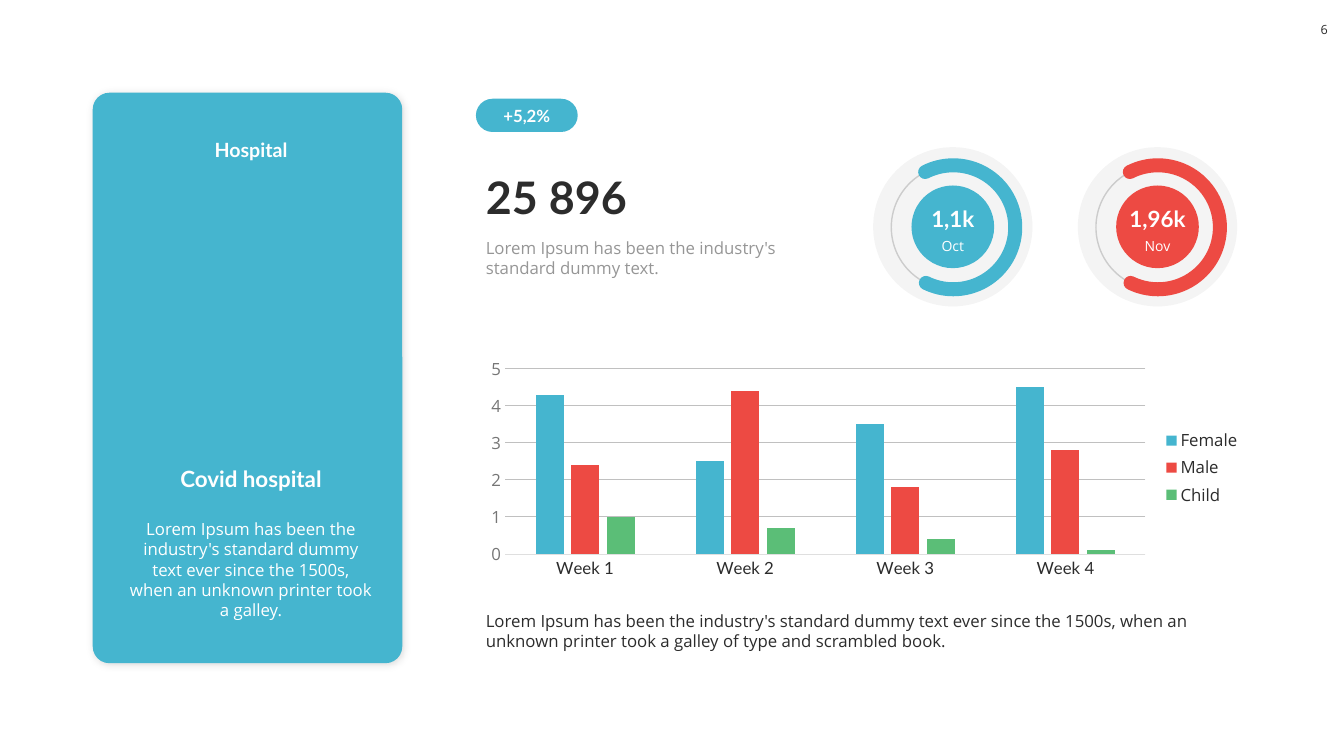
"""Build the hospital statistics slide with a side panel, monthly rings and a weekly chart."""
import lxml.etree
import pptx
import pptx.chart.data
import pptx.dml.color
import pptx.enum.chart
import pptx.enum.shapes
import pptx.enum.text
import pptx.oxml.ns
import pptx.util

PX = 9144
TEAL, RED, GREEN = "45B5CF", "ED4A43", "5BBE77"
DARK, GREY, WHITE = "2C2C2C", "969696", "FFFFFF"
HEADING, BODY = "Lato", "Open Sans"
SHAPE = pptx.enum.shapes.MSO_SHAPE
ANCHOR = pptx.enum.text.MSO_ANCHOR
ALIGN = pptx.enum.text.PP_ALIGN
qn = pptx.oxml.ns.qn


def rgb(color):
    """Turn a hex string into a colour."""
    return pptx.dml.color.RGBColor.from_string(color)


def write(shape, text, size, font, color, align, anchor):
    """Put one formatted paragraph into a shape."""
    frame = shape.text_frame
    frame.word_wrap = True
    frame.vertical_anchor = anchor
    paragraph = frame.paragraphs[0]
    paragraph.alignment = align
    run = paragraph.add_run()
    run.text = text
    run.font.color.rgb = rgb(color)
    settings = {"name": font, "size": pptx.util.Pt(size), "bold": font == HEADING}
    for name, value in settings.items():
        setattr(run.font, name, value)
    return frame


presentation = pptx.Presentation()
presentation.slide_width = 1333 * PX
presentation.slide_height = 750 * PX
slide = presentation.slides.add_slide(presentation.slide_layouts[5])

title = slide.shapes.title
for name, value in {"left": 472, "top": 163, "width": 336, "height": 64}.items():
    setattr(title, name, value * PX)
frame = write(title, "25 896", 32, HEADING, DARK, ALIGN.LEFT, ANCHOR.BOTTOM)
frame.auto_size = pptx.enum.text.MSO_AUTO_SIZE.SHAPE_TO_FIT_TEXT

blocks = {}
for name, box, corner, color in [
    ("panel", (92, 92, 307, 566), 0.054, TEAL),
    ("page", (1294, 10, 39, 39), 0.167, WHITE),
    ("growth", (472, 98, 101, 33), 0.5, TEAL),
]:
    block = slide.shapes.add_shape(SHAPE.ROUNDED_RECTANGLE, *[length * PX for length in box])
    block.adjustments[0] = corner
    block.fill.solid()
    block.fill.fore_color.rgb = rgb(color)
    block.line.fill.background()
    block.shadow.inherit = False
    blocks[name] = block

effects = blocks["panel"].element.spPr.find(qn("a:effectLst"))
shadow = lxml.etree.SubElement(
    effects, qn("a:outerShdw"), blurRad="76200", dist="12700", dir="2700000", algn="tl", rotWithShape="0")
shadow_color = lxml.etree.SubElement(shadow, qn("a:srgbClr"), val="000000")
lxml.etree.SubElement(shadow_color, qn("a:alpha"), val="15000")

for name, text, size, font, color in [
    ("page", "6", 9, BODY, DARK),
    ("growth", "+5,2%", 12, HEADING, WHITE),
]:
    frame = write(blocks[name], text, size, font, color, ALIGN.CENTER, ANCHOR.MIDDLE)
    frame.word_wrap = name != "page"
    for margin in ("margin_left", "margin_right", "margin_top", "margin_bottom"):
        setattr(frame, margin, 0)

texts = [
    ((118, 131, 262, 34), "Hospital", 14, HEADING, WHITE, ALIGN.CENTER, ANCHOR.BOTTOM),
    ((118, 457, 262, 37), "Covid hospital", 16, HEADING, WHITE, ALIGN.CENTER, ANCHOR.TOP),
    ((118, 510, 262, 91),
     "Lorem Ipsum has been the industry's standard dummy text ever since the 1500s, "
     "when an unknown printer took a galley.", 12, BODY, WHITE, ALIGN.CENTER, ANCHOR.TOP),
    ((472, 231, 336, 50), "Lorem Ipsum has been the industry's standard dummy text.",
     12, BODY, GREY, ALIGN.LEFT, ANCHOR.TOP),
    ((472, 601, 770, 50),
     "Lorem Ipsum has been the industry's standard dummy text ever since the 1500s, "
     "when an unknown printer took a galley of type and scrambled book.",
     12, BODY, DARK, ALIGN.LEFT, ANCHOR.TOP),
]

opacity = {"halo": 5, "track": 20}
for index, (amount, month, color) in enumerate([("1,1k", "Oct", TEAL), ("1,96k", "Nov", RED)]):
    center = 945 + 203 * index
    for role, kind, diameter, fill, line, weight in [
        ("halo", SHAPE.OVAL, 158, DARK, None, 0),
        ("track", SHAPE.OVAL, 123, None, DARK, 1),
        ("progress", SHAPE.ARC, 123, None, color, 10),
        ("core", SHAPE.OVAL, 82, color, None, 0),
    ]:
        ring = slide.shapes.add_shape(
            kind, (center - diameter // 2) * PX, (225 - diameter // 2) * PX, diameter * PX, diameter * PX)
        ring.shadow.inherit = False
        if fill:
            ring.fill.solid()
            ring.fill.fore_color.rgb = rgb(fill)
        else:
            ring.fill.background()
        if line:
            ring.line.color.rgb = rgb(line)
            ring.line.width = pptx.util.Pt(weight)
        else:
            ring.line.fill.background()
        if role in opacity:
            for tint in ring.element.iter(qn("a:srgbClr")):
                lxml.etree.SubElement(tint, qn("a:alpha"), val=str(opacity[role] * 1000))
        if role == "progress":
            ring.adjustments[0] = 145.85
            ring.adjustments[1] = 69.71
            ring.get_or_add_ln().set("cap", "rnd")
    texts += [
        ((center - 41, 198, 82, 37), amount, 16, HEADING, WHITE, ALIGN.CENTER, ANCHOR.BOTTOM),
        ((center - 41, 231, 82, 27), month, 10, BODY, WHITE, ALIGN.CENTER, ANCHOR.TOP),
    ]

for box, *content in texts:
    textbox = slide.shapes.add_textbox(*[length * PX for length in box])
    frame = write(textbox, *content)
    frame.auto_size = pptx.enum.text.MSO_AUTO_SIZE.SHAPE_TO_FIT_TEXT

patients = [
    ("Female", (4.3, 2.5, 3.5, 4.5), TEAL),
    ("Male", (2.4, 4.4, 1.8, 2.8), RED),
    ("Child", (1, 0.7, 0.4, 0.1), GREEN),
]
data = pptx.chart.data.CategoryChartData()
data.categories = [f"Week {week}" for week in range(1, 5)]
for name, values, color in patients:
    data.add_series(name, values)
chart = slide.shapes.add_chart(
    pptx.enum.chart.XL_CHART_TYPE.COLUMN_CLUSTERED, 472 * PX, 350 * PX, 769 * PX, 228 * PX, data).chart
chart.has_title = False
chart.has_legend = True
chart.legend.position = pptx.enum.chart.XL_LEGEND_POSITION.RIGHT
chart.legend.include_in_layout = False

plot = chart.plots[0]
for name, value in {"gap_width": 219, "overlap": -27, "vary_by_categories": False}.items():
    setattr(plot, name, value)
for series, (name, values, color) in zip(plot.series, patients):
    series.format.fill.solid()
    series.format.fill.fore_color.rgb = rgb(color)

weeks, scale = chart.category_axis, chart.value_axis
for axis in (weeks, scale):
    axis.major_tick_mark = axis.minor_tick_mark = pptx.enum.chart.XL_TICK_MARK.NONE
for font, name, size, color in [
    (chart.font, BODY, 10, DARK),
    (chart.legend.font, BODY, 12, DARK),
    (weeks.tick_labels.font, HEADING, 12, DARK),
    (scale.tick_labels.font, BODY, 12, "767676"),
]:
    font.name = name
    font.size = pptx.util.Pt(size)
    font.color.rgb = rgb(color)
for name, value in {"minimum_scale": 0, "maximum_scale": 5, "major_unit": 1}.items():
    setattr(scale, name, value)
scale.format.line.fill.background()
for line, color in [(weeks.format.line, "DFDFDF"), (scale.major_gridlines.format.line, "C0C0C0")]:
    line.color.rgb = rgb(color)
    line.width = pptx.util.Pt(0.75)

presentation.save("out.pptx")
